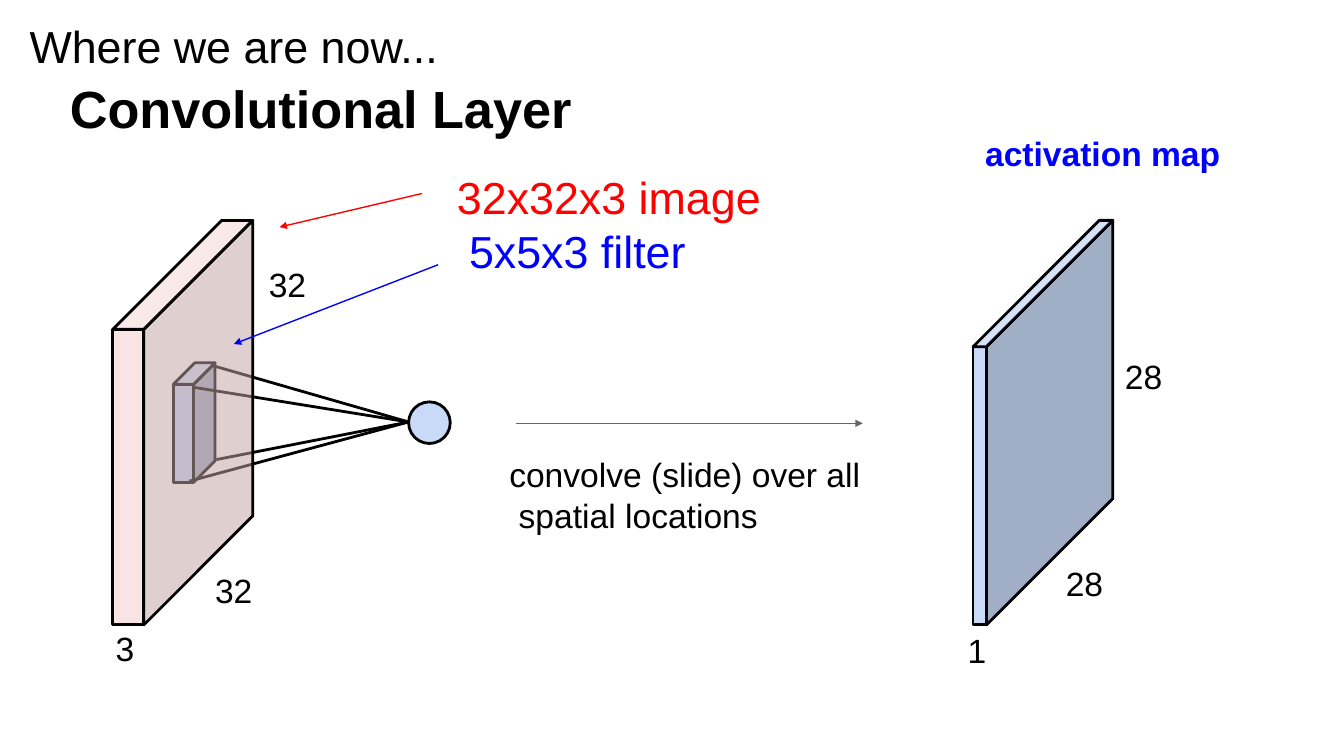
"""Build a slide showing how a convolutional layer turns an image into an activation map."""
from lxml import etree
from pptx import Presentation
from pptx.dml.color import RGBColor
from pptx.enum import shapes, text
from pptx.oxml import ns
from pptx.util import Inches, Pt


class Theme:
    font = "Arial"
    black = RGBColor(0x00, 0x00, 0x00)
    red = RGBColor(0xFF, 0x00, 0x00)
    blue = RGBColor(0x00, 0x00, 0xFF)
    gray = RGBColor(0x66, 0x66, 0x66)
    blue_faces = ("C8DAF7", "A0AEC6", "D3E1F9")
    pink_faces = ("F4CCCC", "C3A3A3", "F6D6D6")
    heading = 28
    large = 24
    label = 18
    outline = Pt(1.5)
    arrow = Pt(0.75)


deck = Presentation()
deck.slide_width = Inches(10)
deck.slide_height = Inches(10 * 9 / 16)
page = deck.slides.add_slide(deck.slide_layouts[5])


def draw_slab(left, bottom, thickness, height, run, colors, opacity=100):
    front, right = left + thickness, left + thickness + run
    top = bottom - height
    faces = [
        [(left, top), (front, top), (front, bottom), (left, bottom)],
        [(front, bottom), (front, top), (right, top - run), (right, bottom - run)],
        [(front, top), (left, top), (left + run, top - run), (right, top - run)],
    ]
    for corners, color in zip(faces, colors):
        points = [(Inches(x), Inches(y)) for x, y in corners]
        builder = page.shapes.build_freeform(*points[0])
        builder.add_line_segments(points[1:], close=True)
        face = builder.convert_to_shape()
        face.shadow.inherit = False
        face.fill.solid()
        face.fill.fore_color.rgb = RGBColor.from_string(color)
        face.line.color.rgb = Theme.black
        face.line.width = Theme.outline
        if opacity < 100:
            fill_color = face._element.spPr.find(ns.qn("a:solidFill"))[0]
            etree.SubElement(fill_color, ns.qn("a:alpha"), val=str(opacity * 1000))


def draw_line(start, end, color, width, arrowhead=False):
    line = page.shapes.add_connector(
        shapes.MSO_CONNECTOR.STRAIGHT, *[Inches(value) for value in start + end])
    line.line.color.rgb = color
    line.line.width = width
    if arrowhead:
        outline = line._element.spPr.find(ns.qn("a:ln"))
        etree.SubElement(outline, ns.qn("a:tailEnd"), type="triangle", w="sm", len="sm")
    etree.SubElement(line._element.spPr, ns.qn("a:effectLst"))


draw_slab(1.29, 3.59, 0.15, 0.73, 0.16, Theme.blue_faces)

neuron = page.shapes.add_shape(
    shapes.MSO_SHAPE.OVAL, Inches(3.04), Inches(2.99), Inches(0.31), Inches(0.31))
neuron.shadow.inherit = False
neuron.fill.solid()
neuron.fill.fore_color.rgb = RGBColor.from_string(Theme.blue_faces[0])
neuron.line.color.rgb = Theme.black
neuron.line.width = Theme.outline

for filter_corner in [(1.41, 3.58), (1.43, 2.88), (1.58, 2.72), (1.61, 3.42)]:
    draw_line(filter_corner, (3.04, 3.14), Theme.black, Theme.outline)

draw_slab(0.84, 4.65, 0.23, 2.2, 0.81, Theme.pink_faces, opacity=52)
draw_slab(7.24, 4.65, 0.1, 2.07, 0.94, Theme.blue_faces)

for start, end, color in [
    ((3.14, 1.44), (2.08, 1.69), Theme.red),
    ((3.26, 1.97), (1.74, 2.56), Theme.blue),
    ((3.84, 3.15), (6.42, 3.15), Theme.gray),
]:
    draw_line(start, end, color, Theme.arrow, arrowhead=True)

title_lines = [
    ("Where we are now...", 0.01, Theme.large, Theme.black, False, 0, 1.0),
    ("Convolutional Layer", 0.31, Theme.heading, Theme.black, True, 2, 1.0),
]
input_lines = [
    ("32x32x3 image", 1.42, Theme.large, Theme.red, False, 0, Pt(28.5)),
    ("5x5x3 filter", 1.51, Theme.large, Theme.blue, False, 0, Pt(28.5)),
    ("32", 0.02, Theme.label, Theme.black, False, 0, Pt(14.8)),
]
step_lines = [
    ("convolve (slide) over all", 0.01, Theme.label, Theme.black, False, 0, 1.0),
    ("spatial locations", 0.08, Theme.label, Theme.black, False, 0, 1.0),
]
map_lines = [("activation map", 0.01, Theme.label, Theme.blue, True, 0, 1.0)]
blocks = [
    (page.shapes.title, (0.21, 0.09, 4.1, 0.97), 0.05, title_lines),
    (None, (1.98, 1.24, 3.72, 1.04), 0.03, input_lines),
    (None, (3.78, 3.37, 2.66, 0.63), 0.01, step_lines),
    (None, (7.32, 0.98, 1.8, 0.33), 0.01, map_lines),
]
for size, left, top in [
    ("32", 1.59, 4.22), ("3", 0.85, 4.65), ("1", 7.19, 4.67),
    ("28", 7.92, 4.17), ("28", 8.36, 2.63),
]:
    size_lines = [(size, 0.01, Theme.label, Theme.black, False, 0, 1.0)]
    blocks.append((None, (left, top, 0.03 + 0.14 * len(size), 0.33), 0.02, size_lines))

for box, place, top_inset, lines in blocks:
    place = [Inches(value) for value in place]
    if box is None:
        box = page.shapes.add_textbox(*place)
    box.left, box.top, box.width, box.height = place
    frame = box.text_frame
    frame.word_wrap = True
    frame.auto_size = text.MSO_AUTO_SIZE.NONE
    frame.vertical_anchor = text.MSO_ANCHOR.TOP
    frame.margin_left = frame.margin_right = frame.margin_bottom = 0
    frame.margin_top = Inches(top_inset)
    frame.text = "\n".join(line[0] for line in lines)
    for para, (_, indent, size, color, bold, before, spacing) in zip(frame.paragraphs, lines):
        para.alignment = text.PP_ALIGN.LEFT
        para.space_before = Pt(before)
        para.line_spacing = spacing
        para._p.get_or_add_pPr().set("marL", str(Inches(indent)))
        for span in para.runs:
            span.font.name = Theme.font
            span.font.size = Pt(size)
            span.font.bold = bold
            span.font.color.rgb = color

deck.save("out.pptx")
